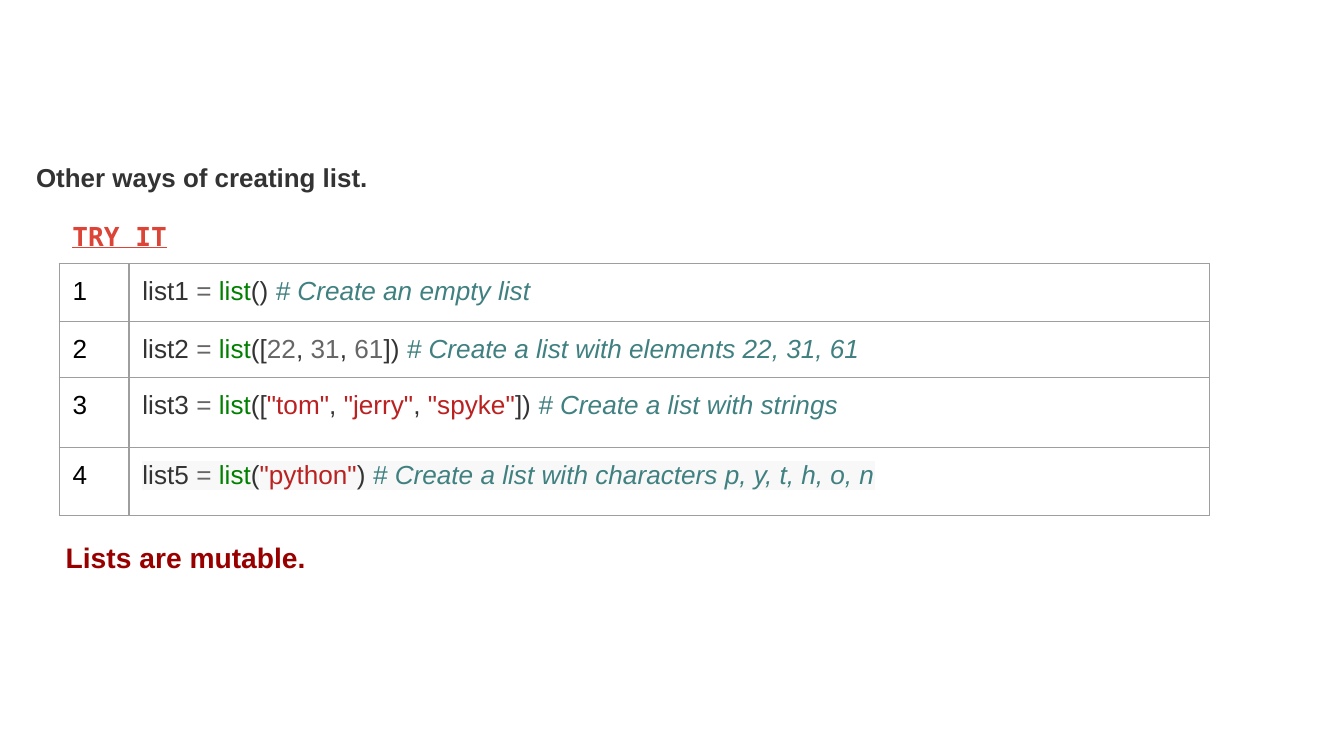
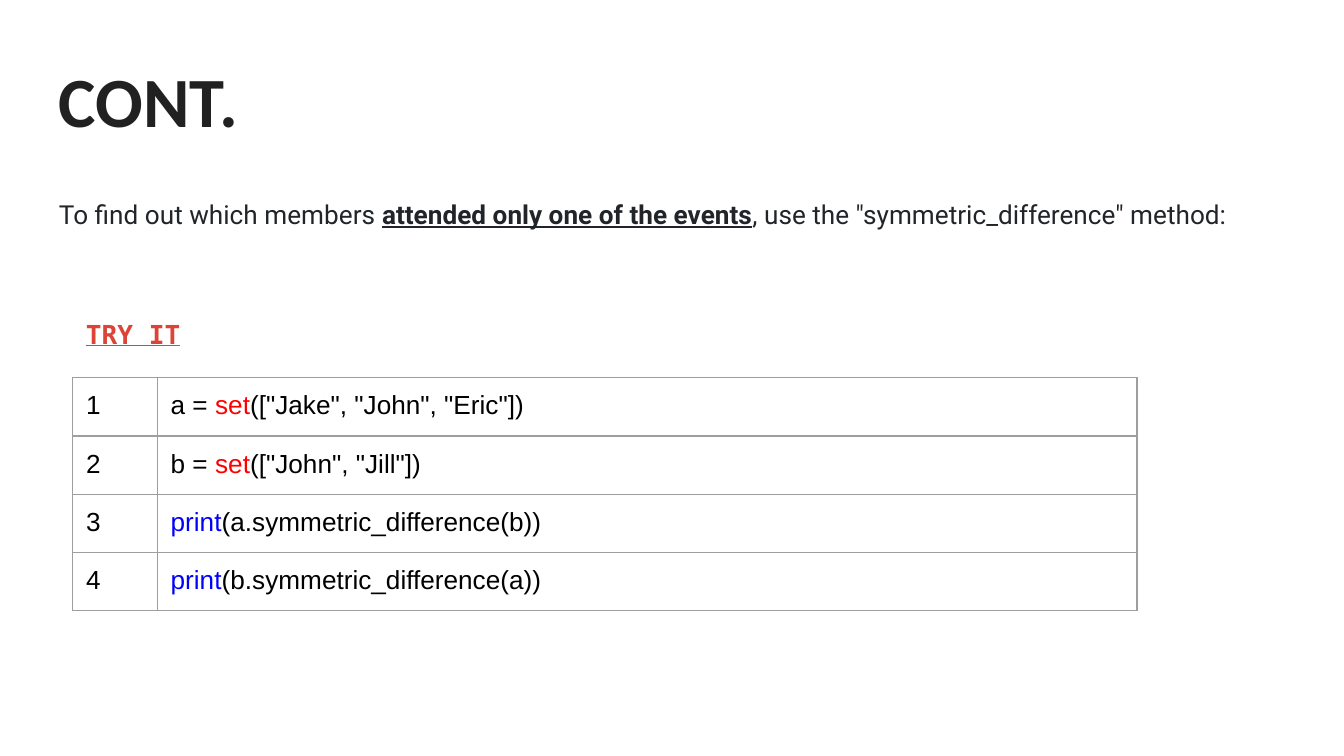
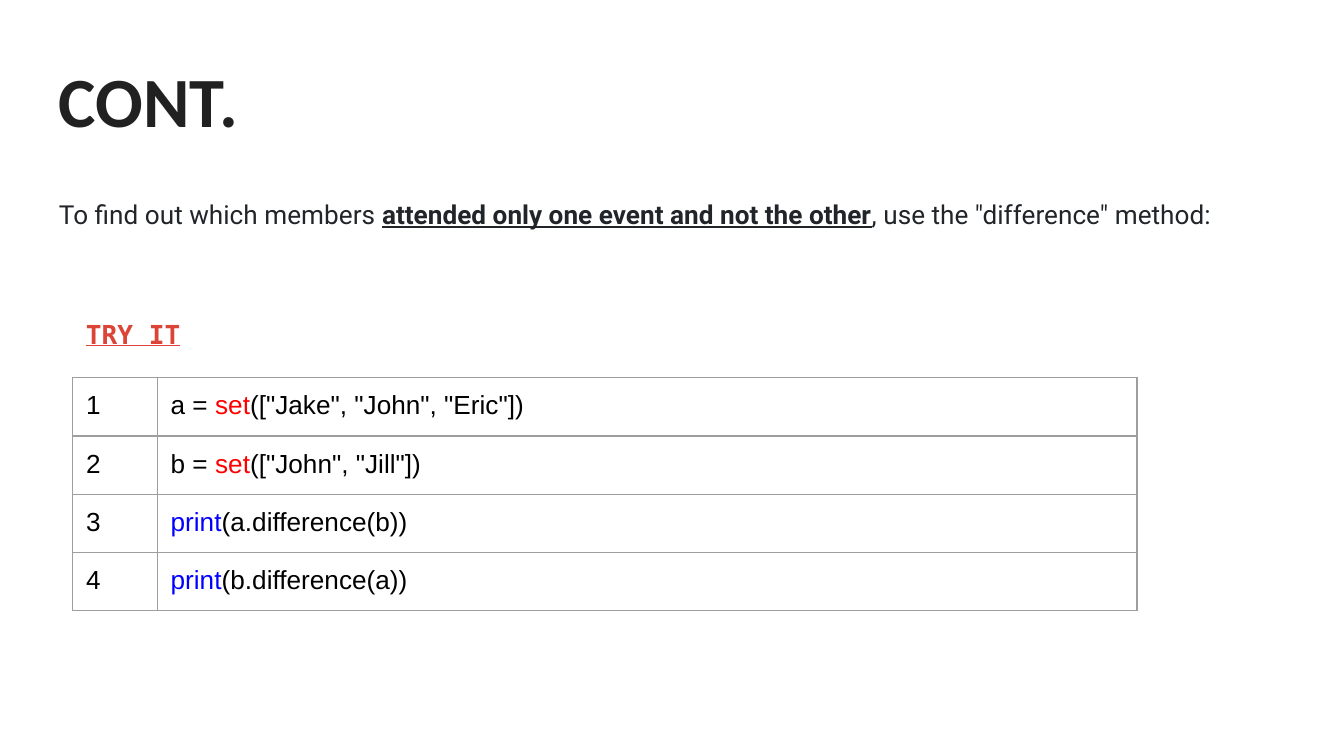
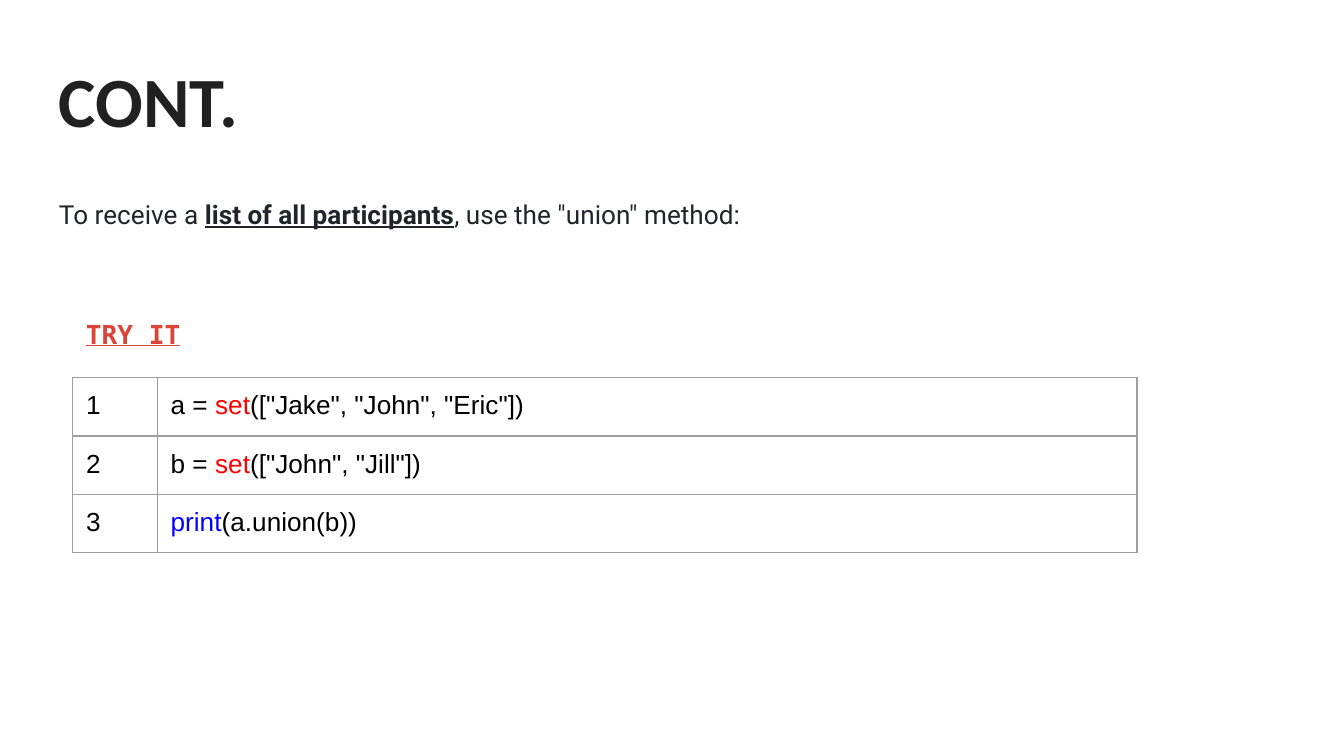
"""Build four slides on creating lists and comparing sets in Python."""
from dataclasses import dataclass, field
from typing import NamedTuple

from lxml import etree
from pptx import Presentation
from pptx.dml.color import RGBColor
from pptx.enum.text import MSO_ANCHOR, MSO_AUTO_SIZE
from pptx.oxml.ns import qn
from pptx.util import Inches, Pt

TOP = MSO_ANCHOR.TOP
GROW = MSO_AUTO_SIZE.SHAPE_TO_FIT_TEXT
FIXED = MSO_AUTO_SIZE.NONE

SANS, MONO, HEAD, BODY = "Arial", "DejaVu Sans Mono", "Calibri", "Roboto"
BLACK, DARK, GRAY, GREEN = "000000", "333333", "666666", "008000"
TEAL, BRICK, RED, BLUE = "408080", "BA2121", "FF0000", "0000FF"
MAROON, CORAL, INK, PROSE = "980000", "DB4437", "212121", "212529"
RULE, SHADE, WHITE = "9E9E9E", "F8F8F8", "FFFFFF"
PAD = 0.1


class Box(NamedTuple):
    """Place and size in inches."""
    left: float
    top: float
    width: float
    height: float


class Span(NamedTuple):
    """Piece of code in one colour."""
    text: str
    color: str = BLACK
    ital: bool = False
    mark: str = ""


@dataclass
class Grid:
    """Numbered code table with its label."""
    box: Box
    cols: tuple[float, float]
    rows: list[float]
    code: list[list[Span]]
    label: Box


@dataclass
class Lesson:
    """Set method shown on one slide."""
    lead: str
    stress: str
    method: str
    calls: list[str] = field(default_factory=lambda: ["ab", "ba"])


TITLE = Box(0.34, 0.32, 9.32, 0.88)
INTRO = Box(0.34, 1.34, 9.32, 0.65)
PAGE = Box(0.17, 0.17, 9.65, 5.23)

LESSONS = [
    Lesson("To find out which members ", "attended only one of the events",
           "symmetric_difference"),
    Lesson("To find out which members ",
           "attended only one event and not the other", "difference"),
    Lesson("To receive a ", "list of all participants", "union", ["ab"]),
]


def tint(code: str) -> RGBColor:
    """Turn a hex string into a colour."""
    return RGBColor.from_string(code)


def write(par, text: str, *, size: float = 14, font: str = SANS,
          color: str = BLACK, bold: bool = False, ital: bool = False,
          under: bool = False, mark: str = "") -> None:
    """Add one formatted run to a paragraph."""
    run = par.add_run()
    run.text = text
    face = run.font
    face.size = Pt(size)
    face.bold, face.italic, face.underline = bold, ital, under
    face.color.rgb = tint(color)
    if mark:
        light = etree.SubElement(run._r.get_or_add_rPr(), qn("a:highlight"))
        etree.SubElement(light, qn("a:srgbClr"), val=mark)
    face.name = font


def frame(slide, box: Box, fit=FIXED):
    """Add an empty wrapped text box and give its frame."""
    area = slide.shapes.add_textbox(*map(Inches, box)).text_frame
    area.word_wrap = True
    area.auto_size = fit
    area.vertical_anchor = TOP
    area.margin_left = area.margin_right = Inches(PAD)
    area.margin_top = area.margin_bottom = Inches(PAD)
    return area


def border(cell) -> None:
    """Rule all four sides of a cell."""
    props = cell._tc.get_or_add_tcPr()
    for side in ("lnL", "lnR", "lnT", "lnB"):
        line = etree.SubElement(props, qn(f"a:{side}"), w=str(Pt(0.75)))
        paint = etree.SubElement(line, qn("a:solidFill"))
        etree.SubElement(paint, qn("a:srgbClr"), val=RULE)


def put(cell, spans: list[Span]) -> None:
    """Style a cell and write its code."""
    border(cell)
    cell.fill.background()
    cell.margin_left = cell.margin_right = Inches(PAD)
    cell.margin_top = cell.margin_bottom = Inches(PAD)
    for span in spans:
        write(cell.text_frame.paragraphs[0], span.text, color=span.color,
              ital=span.ital, mark=span.mark)


def draw(slide, grid: Grid) -> None:
    """Draw the code table and its label."""
    shape = slide.shapes.add_table(
        len(grid.rows), len(grid.cols), *map(Inches, grid.box))
    table = shape.table
    table.first_row = table.horz_banding = False
    for col, width in zip(table.columns, grid.cols):
        col.width = Inches(width)
    for num, (height, code) in enumerate(zip(grid.rows, grid.code)):
        table.rows[num].height = Inches(height)
        put(table.cell(num, 0), [Span(str(num + 1))])
        put(table.cell(num, 1), code)
    shape.width, shape.height = Inches(grid.box.width), Inches(grid.box.height)
    area = frame(slide, grid.label, GROW)
    write(area.paragraphs[0], "TRY IT", font=MONO, color=CORAL,
          bold=True, under=True)


def make(name: str, items: list[str], note: str, ends: tuple[str, str],
         mark: str = "") -> list[Span]:
    """Colour a line that calls list()."""
    spans = [Span(f"{name} ", DARK), Span("= ", GRAY), Span("list", GREEN),
             Span(ends[0], DARK)]
    for num, item in enumerate(items):
        if num:
            spans.append(Span(", ", DARK))
        spans.append(Span(item, BRICK if item.startswith('"') else GRAY))
    spans += [Span(f"{ends[1]} ", DARK), Span(f"# {note}", TEAL, True)]
    return [span._replace(mark=mark) for span in spans]


def lists(slide) -> None:
    """Draw the slide on creating lists."""
    area = frame(slide, PAGE)
    area.margin_top = Inches(1.05)
    first, last = area.paragraphs[0], area.add_paragraph()
    first.line_spacing = last.line_spacing = 0.95
    write(first, "Other ways of creating list.", size=13.9, color=DARK,
          bold=True, mark=WHITE)
    last.space_before = Pt(187)
    last._p.get_or_add_pPr().set("marL", str(Inches(0.22)))
    write(last, "Lists are mutable.", size=15.1, color=MAROON, bold=True)
    pair = ("([", "])")
    code = [
        make("list1", [], "Create an empty list", ("(", ")")),
        make("list2", ["22", "31", "61"],
             "Create a list with elements 22, 31, 61", pair),
        make("list3", ['"tom"', '"jerry"', '"spyke"'],
             "Create a list with strings", pair),
        make("list5", ['"python"'],
             "Create a list with characters p, y, t, h, o, n",
             ("(", ")"), SHADE),
    ]
    draw(slide, Grid(Box(0.44, 1.96, 3.28, 3.28), (0.52, 8.04),
                     [0.43, 0.4, 0.52, 0.51], code,
                     Box(0.44, 1.54, 6.35, 0.44)))


def sets(slide, lesson: Lesson) -> None:
    """Draw the slide on one set method."""
    head = frame(slide, TITLE).paragraphs[0]
    write(head, "CONT.", size=37.8, font=HEAD, color=INK, bold=True)
    par = frame(slide, INTRO).paragraphs[0]
    par.line_spacing = 1.15
    for text, key in ((lesson.lead, False), (lesson.stress, True),
                      (f', use the "{lesson.method}" method:', False)):
        write(par, text, font=BODY, color=PROSE, bold=key, under=key,
              mark=WHITE)
    code = [[Span(f"{name} = "), Span("set", RED), Span(f"([{names}])")]
            for name, names in (("a", '"Jake", "John", "Eric"'),
                                ("b", '"John", "Jill"'))]
    code += [[Span("print", BLUE), Span(f"({one}.{lesson.method}({two}))")]
             for one, two in lesson.calls]
    draw(slide, Grid(Box(0.54, 2.81, 3.28, 3.28), (0.63, 7.29),
                     [0.42] * len(code), code, Box(0.54, 2.27, 3.28, 0.44)))


def main() -> None:
    """Build and save the deck."""
    deck = Presentation()
    deck.slide_width = Inches(10)
    deck.slide_height = Inches(10) * 9 // 16
    blank = deck.slide_layouts[6]
    lists(deck.slides.add_slide(blank))
    for lesson in LESSONS:
        sets(deck.slides.add_slide(blank), lesson)
    deck.save("out.pptx")


if __name__ == "__main__":
    main()
